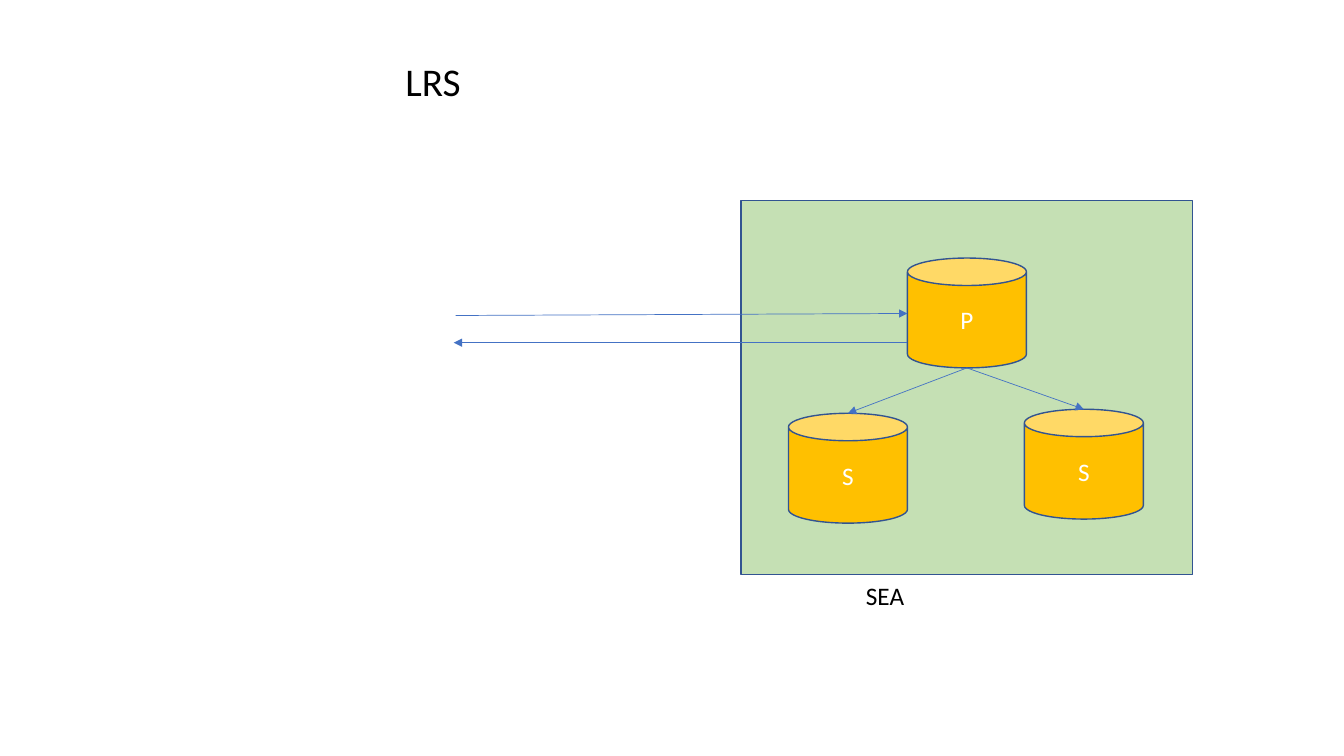
from lxml.etree import SubElement
from pptx import Presentation
from pptx.dml.color import RGBColor
from pptx.enum.shapes import MSO_CONNECTOR, MSO_SHAPE
from pptx.enum.text import MSO_ANCHOR, MSO_AUTO_SIZE, PP_ALIGN
from pptx.oxml.ns import qn
from pptx.util import Inches, Pt

COLORS = {
    "region": "C5E0B4", "store": "FFC000", "outline": "325491",
    "arrow": "4472C4", "text": "000000", "store_text": "FFFFFF",
}
FONT = "Calibri"
STORE_W, STORE_H = 1.18, 1.09


def color(name):
    return RGBColor.from_string(COLORS[name])


def write(sp, text, size, color_name, align, anchor):
    tf = sp.text_frame
    tf.word_wrap = True
    tf.auto_size = MSO_AUTO_SIZE.NONE
    tf.vertical_anchor = anchor
    p = tf.paragraphs[0]
    p.alignment = align
    r = p.add_run()
    r.text = text
    r.font.name = FONT
    r.font.size = Pt(size)
    r.font.color.rgb = color(color_name)


def add_title(s, text, left, top, width, height):
    sp = s.shapes.title
    sp.left, sp.top, sp.width, sp.height = map(Inches, (left, top, width, height))
    write(sp, text, 28, "text", PP_ALIGN.LEFT, MSO_ANCHOR.TOP)


def add_label(s, text, left, top, width, height):
    sp = s.shapes.add_textbox(*map(Inches, (left, top, width, height)))
    write(sp, text, 18, "text", PP_ALIGN.LEFT, MSO_ANCHOR.TOP)


def add_block(s, kind, fill, left, top, width, height):
    sp = s.shapes.add_shape(kind, *map(Inches, (left, top, width, height)))
    sp.shadow.inherit = False
    sp.fill.solid()
    sp.fill.fore_color.rgb = color(fill)
    sp.line.color.rgb = color("outline")
    sp.line.width = Pt(1)
    return sp


def add_store(s, text, left, top):
    sp = add_block(s, MSO_SHAPE.CAN, "store", left, top, STORE_W, STORE_H)
    write(sp, text, 18, "store_text", PP_ALIGN.CENTER, MSO_ANCHOR.MIDDLE)


def add_arrow(s, start, end):
    line = s.shapes.add_connector(
        MSO_CONNECTOR.STRAIGHT, *map(Inches, (*start, *end)))
    line.line.color.rgb = color("arrow")
    line.line.width = Pt(0.5)
    SubElement(line.line._get_or_add_ln(), qn("a:tailEnd"), type="triangle")
    SubElement(line._element.spPr, qn("a:effectLst"))


def main():
    prs = Presentation()
    prs.slide_width, prs.slide_height = Inches(13.33), Inches(7.5)
    s = prs.slides.add_slide(prs.slide_layouts[5])

    add_title(s, "LRS", 3.92, 0.52, 5.17, 0.57)
    add_block(s, MSO_SHAPE.RECTANGLE, "region", 7.35, 1.99, 4.48, 3.71)
    add_label(s, "SEA", 8.49, 5.71, 2.39, 0.4)

    primary_left, primary_top = 9, 2.56
    add_store(s, "P", primary_left, primary_top)
    primary_bottom = (primary_left + STORE_W / 2, primary_top + STORE_H)
    for left, top in ((7.82, 4.1), (10.16, 4.06)):
        add_store(s, "S", left, top)
        add_arrow(s, primary_bottom, (left + STORE_W / 2, top))

    add_arrow(s, (4.52, 3.13), (primary_left, 3.11))
    add_arrow(s, (primary_left, 3.4), (4.5, 3.4))
    prs.save("out.pptx")


if __name__ == "__main__":
    main()
